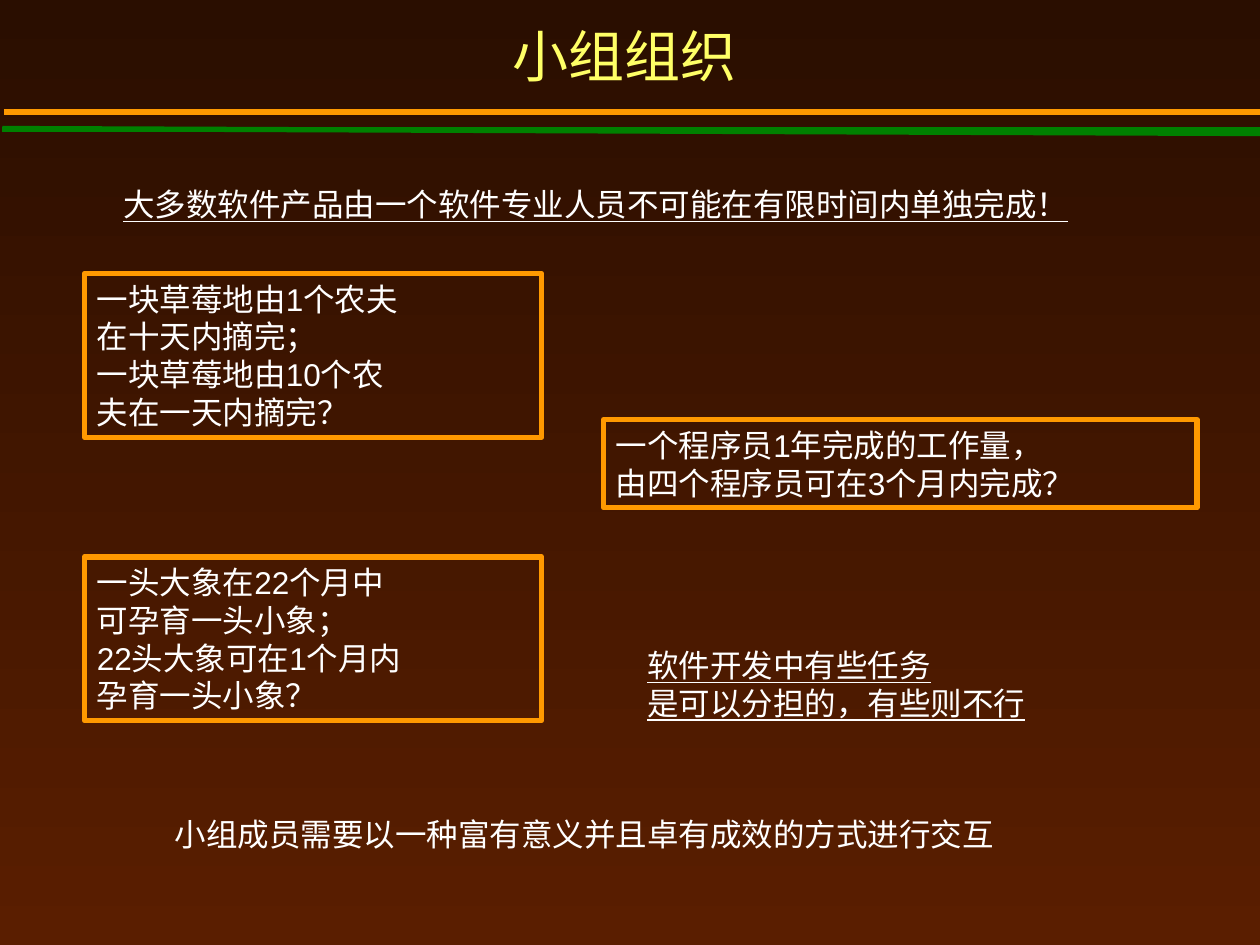
from lxml import etree
from pptx import Presentation
from pptx.dml.color import RGBColor
from pptx.enum import shapes, text
from pptx.oxml.ns import qn
from pptx.util import Inches, Pt

DARK_BROWN = RGBColor(0x2A, 0x0E, 0x00)
BROWN = RGBColor(0x5A, 0x1E, 0x00)
GREEN = RGBColor(0x00, 0x80, 0x00)
ORANGE = RGBColor(0xFF, 0x99, 0x00)
YELLOW = RGBColor(0xFF, 0xFF, 0x66)
WHITE = RGBColor(0xFF, 0xFF, 0xFF)

# Content
TITLE = "小组组织"
RULES = [  # colour, start, end
    (GREEN, (0.02, 1.03), (10.03, 1.03)),
    (GREEN, (0.02, 1.02), (10.02, 1.06)),
    (ORANGE, (0.03, 0.89), (10.03, 0.89)),
]
QUESTIONS = [  # left, top, width, lines
    (4.79, 3.33, 4.71, ["一个程序员1年完成的工作量，", "由四个程序员可在3个月内完成？"]),
    (0.67, 2.17, 3.63, ["一块草莓地由1个农夫", "在十天内摘完；",
                        "一块草莓地由10个农", "夫在一天内摘完？"]),
    (0.67, 4.42, 3.63, ["一头大象在22个月中", "可孕育一头小象；",
                        "22头大象可在1个月内", "孕育一头小象？"]),
]
STATEMENTS = [  # left, top, width, underlined, lines
    (0.88, 1.42, 8.45, True, ["大多数软件产品由一个软件专业人员不可能在有限时间内单独完成！"]),
    (5.04, 5.08, 3.95, True, ["软件开发中有些任务", "是可以分担的，有些则不行"]),
    (1.29, 6.42, 7.45, False, ["小组成员需要以一种富有意义并且卓有成效的方式进行交互"]),
]
LINE_HEIGHT, PADDING = 0.3, 0.1


def write(shape, lines, size=18, color=WHITE, underline=None,
          align=text.PP_ALIGN.LEFT, anchor=text.MSO_ANCHOR.TOP):
    frame = shape.text_frame
    frame.text = "\n".join(lines)
    frame.word_wrap = True
    frame.vertical_anchor = anchor
    for paragraph in frame.paragraphs:
        paragraph.alignment = align
        for run in paragraph.runs:
            run.font.name = "Arial"
            run.font.size = Pt(size)
            run.font.color.rgb = color
            run.font.underline = underline


def frame_size(left, top, width, lines):
    height = LINE_HEIGHT * len(lines) + PADDING
    return [Inches(value) for value in (left, top, width, height)]


prs = Presentation()
prs.slide_width, prs.slide_height = Inches(10), Inches(7.5)
slide = prs.slides.add_slide(prs.slide_layouts[6])

# Background, dark at the top
background = slide.background.fill
background.gradient()
background.gradient_angle = 270
for stop, color in zip(background.gradient_stops, (DARK_BROWN, BROWN)):
    stop.color.rgb = color

# Rules under the title
for color, start, end in RULES:
    rule = slide.shapes.add_connector(
        shapes.MSO_CONNECTOR.STRAIGHT, *(Inches(value) for value in start + end))
    rule.line.color.rgb = color
    rule.line.width = Pt(3)
    etree.SubElement(rule._element.spPr, qn("a:effectLst"))

# Title
title = slide.shapes.add_textbox(Inches(0), Inches(0.25), Inches(9.92), Inches(0.5))
write(title, [TITLE], 32, YELLOW, align=text.PP_ALIGN.CENTER,
      anchor=text.MSO_ANCHOR.BOTTOM)

# Framed questions
for left, top, width, lines in QUESTIONS:
    question = slide.shapes.add_shape(
        shapes.MSO_SHAPE.RECTANGLE, *frame_size(left, top, width, lines))
    question.shadow.inherit = False
    question.fill.background()
    question.line.color.rgb = ORANGE
    question.line.width = Pt(3)
    write(question, lines)

# Plain statements
for left, top, width, underlined, lines in STATEMENTS:
    statement = slide.shapes.add_textbox(*frame_size(left, top, width, lines))
    write(statement, lines, underline=underlined)

prs.save("out.pptx")
